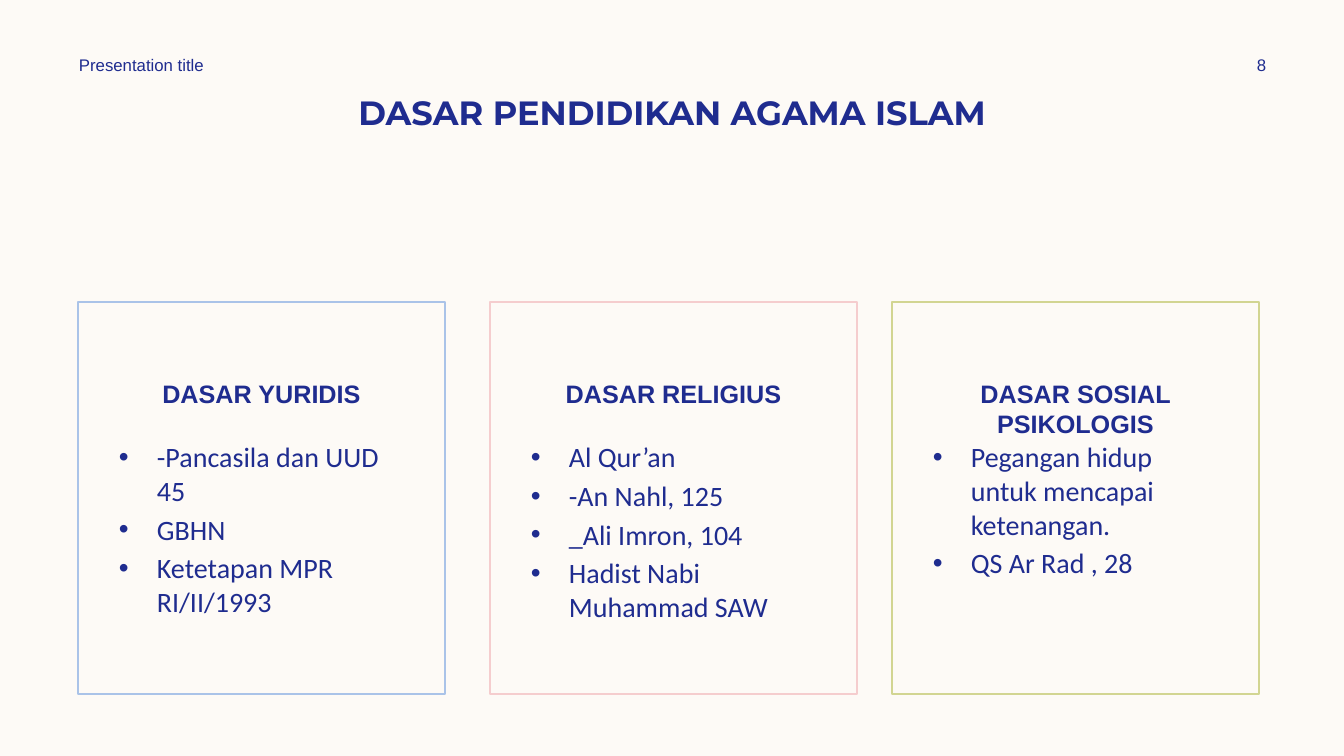
"""Build the slide on the three foundations of Islamic religious education."""
from dataclasses import dataclass

from lxml import etree
from pptx import Presentation
from pptx.dml.color import RGBColor
from pptx.enum.shapes import MSO_SHAPE
from pptx.enum.text import MSO_ANCHOR, PP_ALIGN
from pptx.oxml.ns import qn
from pptx.shapes.autoshape import Shape
from pptx.slide import Slide
from pptx.util import Emu, Pt

RECTANGLE = MSO_SHAPE.RECTANGLE
TOP, MIDDLE = MSO_ANCHOR.TOP, MSO_ANCHOR.MIDDLE
LEFT, CENTER = PP_ALIGN.LEFT, PP_ALIGN.CENTER

CREAM = RGBColor(0xFD, 0xFA, 0xF6)
NAVY = RGBColor(0x1F, 0x2C, 0x8F)
BLUE = RGBColor(0xAA, 0xC3, 0xE8)
PINK = RGBColor(0xF5, 0xCD, 0xCE)
GREEN = RGBColor(0xD2, 0xD5, 0x92)

SLIDE_WIDTH, SLIDE_HEIGHT = 1344, 756
EMU_PER_PX = 12192000 / SLIDE_WIDTH

CARD_TOP, CARD_WIDTH, CARD_HEIGHT = 302, 367, 392
HEADING_INSET = 76
LIST_OFFSET, LIST_TOP, LIST_WIDTH, LIST_HEIGHT = 31, 435, 305, 243
BULLET_INDENT = 38

TITLE_FONT = {"name": "Montserrat", "size": Pt(24), "bold": True}
HEADING_FONT = {"name": "Arial", "size": Pt(18), "bold": True}
LIST_FONT = {"name": "Calibri", "size": Pt(20)}
HEADER_FONT = {"name": "Arial", "size": Pt(12)}


@dataclass(frozen=True)
class Label:
    """A line of text with its box and format."""

    text: str
    box: tuple[int, int, int, int]
    font: dict
    align: PP_ALIGN
    anchor: MSO_ANCHOR


@dataclass(frozen=True)
class Foundation:
    """A framed card with a heading and bulleted points."""

    heading: str
    left: int
    border: RGBColor
    points: tuple[str, ...]


LABELS = (
    Label("DASAR PENDIDIKAN AGAMA ISLAM", (84, 87, 1176, 109), TITLE_FONT, CENTER, TOP),
    Label("Presentation title", (69, 50, 353, 30), HEADER_FONT, LEFT, MIDDLE),
    Label("8", (1207, 50, 109, 30), HEADER_FONT, CENTER, MIDDLE),
)

FOUNDATIONS = (
    Foundation("DASAR YURIDIS", 78, BLUE,
               ("-Pancasila dan UUD 45", "GBHN", "Ketetapan MPR RI/II/1993")),
    Foundation("DASAR RELIGIUS", 490, PINK,
               ("Al Qur’an", "-An Nahl, 125", "_Ali Imron, 104",
                "Hadist Nabi Muhammad SAW")),
    Foundation("DASAR SOSIAL PSIKOLOGIS", 892, GREEN,
               ("Pegangan hidup untuk mencapai ketenangan.", "QS Ar Rad , 28")),
)


def px(length: int) -> Emu:
    """Turn a length in px into EMU."""
    return Emu(round(length * EMU_PER_PX))


def write(shape: Shape, lines: tuple[str, ...], font: dict,
          align: PP_ALIGN, anchor: MSO_ANCHOR) -> None:
    """Fill a shape with one formatted paragraph per line."""
    frame = shape.text_frame
    frame.word_wrap = True
    frame.vertical_anchor = anchor
    frame.text = "\n".join(lines)
    for paragraph in frame.paragraphs:
        paragraph.alignment = align
        run_font = paragraph.runs[0].font
        run_font.color.rgb = NAVY
        for attribute, value in font.items():
            setattr(run_font, attribute, value)


def add_label(slide: Slide, label: Label) -> None:
    """Add a plain text box."""
    box = slide.shapes.add_textbox(*map(px, label.box))
    write(box, (label.text,), label.font, label.align, label.anchor)


def add_bullets(shape: Shape) -> None:
    """Give every paragraph a hanging round bullet."""
    for paragraph in shape.text_frame.paragraphs:
        paragraph.space_before = Pt(3.6)
        properties = paragraph._p.get_or_add_pPr()
        properties.set("marL", str(px(BULLET_INDENT)))
        properties.set("indent", str(-px(BULLET_INDENT)))
        etree.SubElement(properties, qn("a:buFont"), typeface="Arial")
        etree.SubElement(properties, qn("a:buChar"), char="•")


def add_foundation(slide: Slide, foundation: Foundation) -> None:
    """Add a framed card and its list of points."""
    card = slide.shapes.add_shape(
        RECTANGLE, *map(px, (foundation.left, CARD_TOP, CARD_WIDTH, CARD_HEIGHT)))
    card.shadow.inherit = False
    card.fill.background()
    card.line.color.rgb = foundation.border
    card.line.width = Pt(1)
    card.text_frame.margin_top = px(HEADING_INSET)
    write(card, (foundation.heading,), HEADING_FONT, CENTER, TOP)

    points = slide.shapes.add_textbox(
        *map(px, (foundation.left + LIST_OFFSET, LIST_TOP, LIST_WIDTH, LIST_HEIGHT)))
    write(points, foundation.points, LIST_FONT, LEFT, TOP)
    add_bullets(points)


def main() -> None:
    """Build and save the presentation."""
    presentation = Presentation()
    presentation.slide_width = px(SLIDE_WIDTH)
    presentation.slide_height = px(SLIDE_HEIGHT)
    slide = presentation.slides.add_slide(presentation.slide_layouts[6])
    slide.background.fill.solid()
    slide.background.fill.fore_color.rgb = CREAM
    for label in LABELS:
        add_label(slide, label)
    for foundation in FOUNDATIONS:
        add_foundation(slide, foundation)
    presentation.save("out.pptx")


if __name__ == "__main__":
    main()
